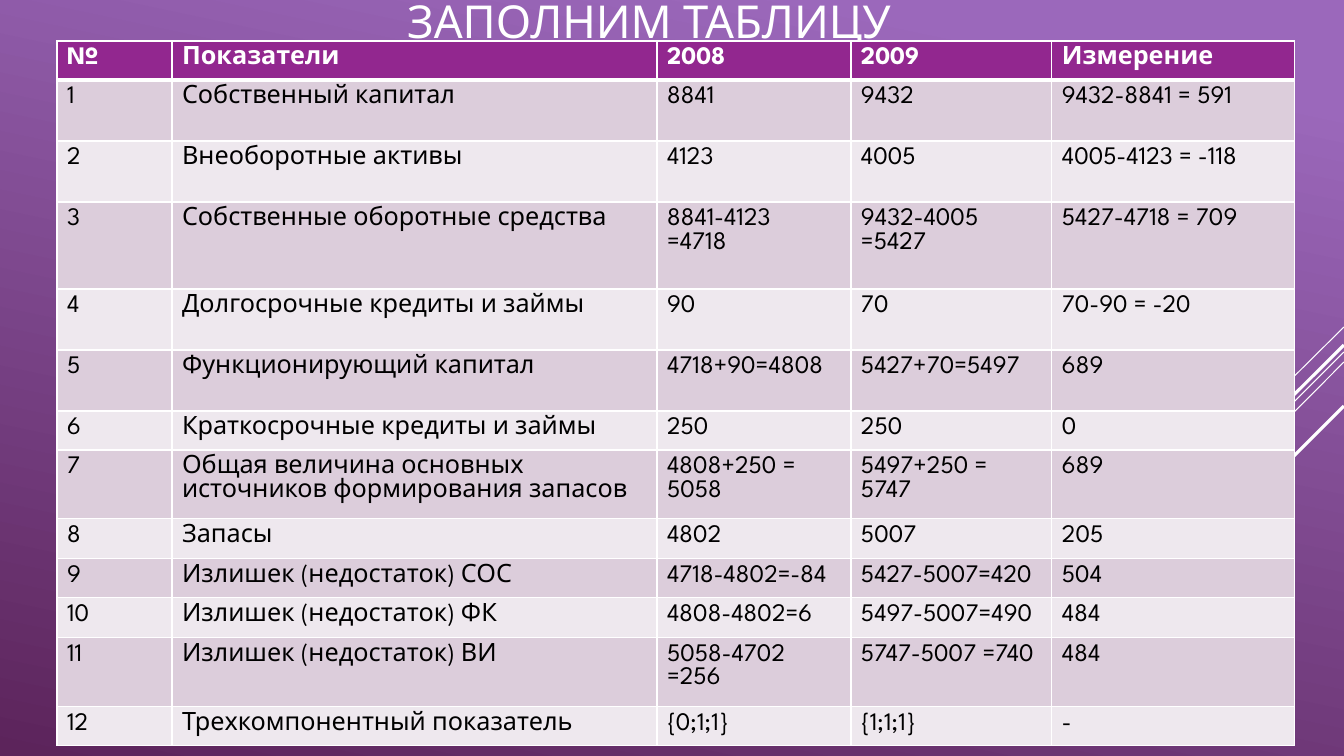
import pptx
import pptx.dml.color
import pptx.enum.shapes
import pptx.enum.text
import pptx.oxml
import pptx.oxml.ns
import pptx.util

SCALE = 914400 / 100.8
FONT = "League Spartan"
WHITE = "FFFFFF"
TITLE = "ЗАПОЛНИМ ТАБЛИЦУ"
TITLE_BOX = (397, 0, 594, 41)
GRADIENT = [(0.1, "9B68BB"), (1, "5C245B")]
RAYS = [
    (1344, 327, 1243, 427, 0.75),
    (1344, 352, 1015, 680, 0.75),
    (1344, 362, 1135, 572, 0.75),
    (1344, 345, 1151, 537, 2.25),
    (1344, 406, 1204, 546, 2.25),
]
TABLE_LEFT, TABLE_TOP = 57, 41
COLUMN_WIDTHS = [115, 485, 194, 201, 243]
ROWS = [
    (39, "№", "Показатели", "2008", "2009", "Измерение"),
    (61, "1", "Собственный капитал", "8841", "9432", "9432-8841 = 591"),
    (61, "2", "Внеоборотные активы", "4123", "4005", "4005-4123 = -118"),
    (87, "3", "Собственные оборотные средства", "8841-4123\v=4718", "9432-4005\v=5427", "5427-4718 = 709"),
    (61, "4", "Долгосрочные кредиты и займы", "90", "70", "70-90 = -20"),
    (61, "5", "Функционирующий капитал", "4718+90=4808", "5427+70=5497", "689"),
    (39, "6", "Краткосрочные кредиты и займы", "250", "250", "0"),
    (69, "7", "Общая величина основных источников формирования запасов",
     "4808+250 =\v5058", "5497+250 =\v5747", "689"),
    (40, "8", "Запасы", "4802", "5007", "205"),
    (39, "9", "Излишек (недостаток) СОС", "4718-4802=-84", "5427-5007=420", "504"),
    (40, "10", "Излишек (недостаток) ФК", "4808-4802=6", "5497-5007=490", "484"),
    (69, "11", "Излишек (недостаток) ВИ", "5058-4702\v=256", "5747-5007 =740", "484"),
    (39, "12", "Трехкомпонентный показатель", "{0;1;1}", "{1;1;1}", "-"),
]
HEADER_FILL = "92278F"
BAND_FILLS = ["EEE8EE", "DCCDDB"]


def px(length):
    return pptx.util.Emu(round(length * SCALE))


def color(value):
    return pptx.dml.color.RGBColor.from_string(value)


def style(para, size, value, bold=False):
    para.font.name = FONT
    para.font.size = pptx.util.Pt(size)
    para.font.bold = bold
    para.font.color.rgb = color(value)


def add_borders(cell, bottom_width):
    properties = cell._tc.get_or_add_tcPr()
    widths = {"lnL": 1, "lnR": 1, "lnT": 1, "lnB": bottom_width}
    for index, (side, width) in enumerate(widths.items()):
        border = pptx.oxml.parse_xml(
            f'<a:{side} {pptx.oxml.ns.nsdecls("a")} w="{pptx.util.Pt(width)}">'
            f'<a:solidFill><a:srgbClr val="{WHITE}"/></a:solidFill></a:{side}>'
        )
        properties.insert(index, border)


def paint_background(page):
    fill = page.background.fill
    fill.gradient()
    fill.gradient_angle = 258
    for stop, (position, value) in zip(fill.gradient_stops, GRADIENT):
        stop.position = position
        stop.color.rgb = color(value)


def add_title(page):
    title = page.shapes.title
    title.left, title.top, title.width, title.height = map(px, TITLE_BOX)
    frame = title.text_frame
    frame.text = TITLE
    frame.auto_size = pptx.enum.text.MSO_AUTO_SIZE.NONE
    frame.vertical_anchor = pptx.enum.text.MSO_ANCHOR.MIDDLE
    para = frame.paragraphs[0]
    para.alignment = pptx.enum.text.PP_ALIGN.LEFT
    para.line_spacing = 1.0
    style(para, 32.4, WHITE)


def add_rays(page):
    for *ends, width in RAYS:
        ray = page.shapes.add_connector(
            pptx.enum.shapes.MSO_CONNECTOR.STRAIGHT, *map(px, ends))
        ray.line.color.rgb = color(WHITE)
        ray.line.width = pptx.util.Pt(width)
        ray._element.spPr.append(pptx.oxml.parse_xml(
            f'<a:effectLst {pptx.oxml.ns.nsdecls("a")}/>'))


def add_indicators(page):
    table = page.shapes.add_table(
        len(ROWS), len(COLUMN_WIDTHS), px(TABLE_LEFT), px(TABLE_TOP),
        px(sum(COLUMN_WIDTHS)), px(sum(row[0] for row in ROWS))).table
    for column, width in zip(table.columns, COLUMN_WIDTHS):
        column.width = px(width)
    for index, (height, *texts) in enumerate(ROWS):
        header = index == 0
        table.rows[index].height = px(height)
        for cell, text in zip(table.rows[index].cells, texts):
            cell.text = text
            cell.fill.solid()
            cell.fill.fore_color.rgb = color(HEADER_FILL if header else BAND_FILLS[index % 2])
            add_borders(cell, 3 if header else 1)
            para = cell.text_frame.paragraphs[0]
            para.line_spacing = pptx.util.Pt(17)
            style(para, 18, WHITE if header else "000000", header)


def main():
    deck = pptx.Presentation()
    deck.slide_width, deck.slide_height = px(1344), px(756)
    page = deck.slides.add_slide(deck.slide_layouts[5])
    paint_background(page)
    add_rays(page)
    add_title(page)
    add_indicators(page)
    deck.save("out.pptx")


if __name__ == "__main__":
    main()
